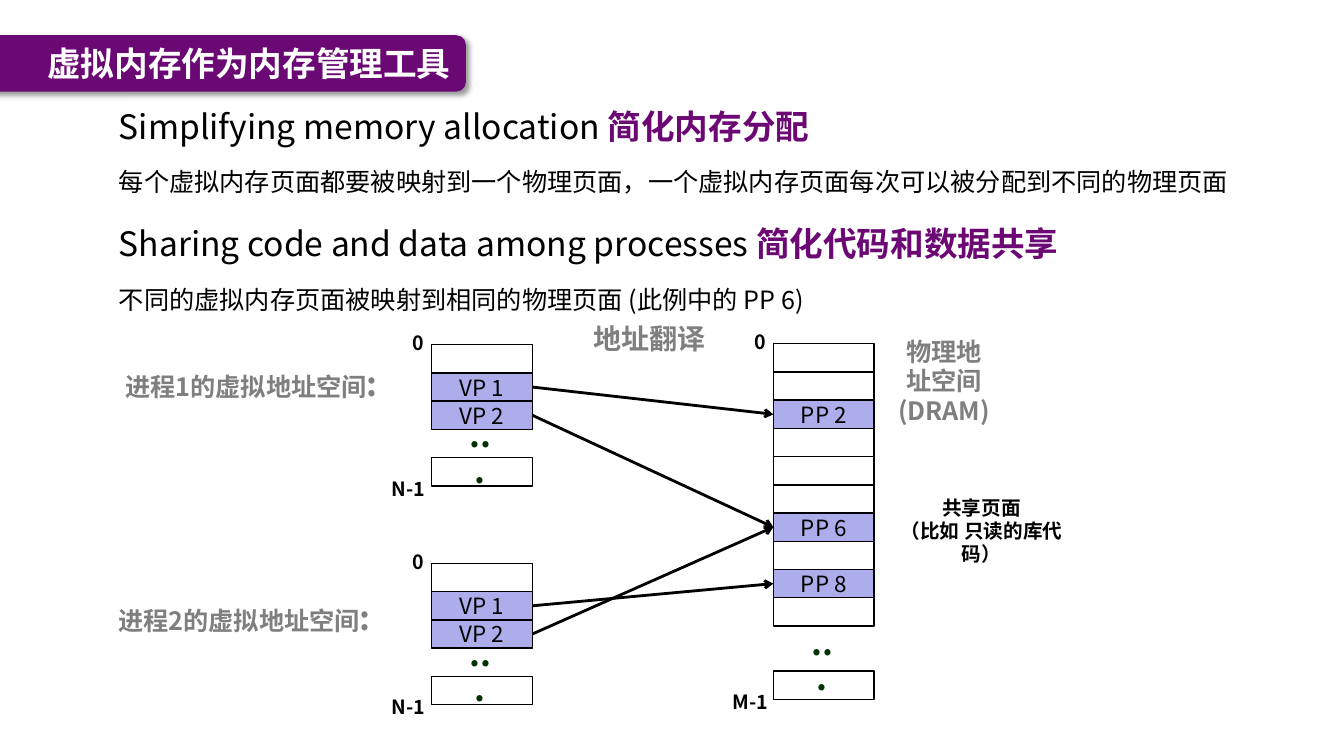
from dataclasses import dataclass
from lxml import etree
from pptx import Presentation, util as u
from pptx.dml.color import RGBColor
from pptx.enum import shapes as sh, text as tx
from pptx.oxml import parse_xml
from pptx.oxml.ns import nsdecls, qn


@dataclass(frozen=True)
class Theme:
    font: str = "Noto Sans CJK SC"
    bar: str = "6A0874"
    key: str = "6B0874"
    page: str = "ADADEB"
    ink: str = "000000"
    gray: str = "7F7F7F"
    dots: str = "003300"
    white: str = "FFFFFF"
    head: int = 24
    name: int = 20
    body: int = 18
    cell: int = 16
    mark: int = 14


T = Theme()
MID = tx.PP_ALIGN.CENTER
LEFT = tx.PP_ALIGN.LEFT
FULL = tx.PP_ALIGN.JUSTIFY
ROW, WIDE = 0.28, 1.0


def color(hue):
    return RGBColor.from_string(hue)


def write(para, words, size, hue, bold=False):
    run = para.add_run()
    run.text = words
    font = run.font
    font.name, font.size, font.bold = T.font, u.Pt(size), bold
    font.color.rgb = color(hue)
    east = etree.SubElement(run._r.get_or_add_rPr(), qn("a:ea"))
    east.set("typeface", T.font)


def frame(slide, box, wrap=True, grow=True):
    area = slide.shapes.add_textbox(*map(u.Inches, box)).text_frame
    area.word_wrap = wrap
    if grow:
        area.auto_size = tx.MSO_AUTO_SIZE.SHAPE_TO_FIT_TEXT
    return area


def label(slide, box, lines, size, hue, wrap=True, gap=0.98):
    """Place a bold centred label, one paragraph per line."""
    area = frame(slide, box, wrap)
    for i, line in enumerate(lines):
        para = area.add_paragraph() if i else area.paragraphs[0]
        para.alignment, para.line_spacing = MID, gap
        write(para, line, size, hue, True)
    return area


def title(slide, x, y, w, h):
    # Bar with a soft shadow
    bar = slide.shapes.add_shape(sh.MSO_SHAPE.ROUNDED_RECTANGLE,
                                 *map(u.Inches, (x, y, w, h)))
    bar.fill.solid()
    bar.fill.fore_color.rgb = color(T.bar)
    bar.line.fill.background()
    bar._element.spPr.append(parse_xml(
        f'<a:effectLst {nsdecls("a")}><a:outerShdw blurRad="50800" '
        'dist="38100" dir="2700000" algn="tl"><a:srgbClr val="000000">'
        '<a:alpha val="40000"/></a:srgbClr></a:outerShdw></a:effectLst>'))
    # Heading
    area = frame(slide, (x + 0.57, y, w - 0.57, h), grow=False)
    area.vertical_anchor = tx.MSO_ANCHOR.MIDDLE
    write(area.paragraphs[0], "虚拟内存作为内存管理工具", T.head, T.white, True)


def points(slide, x, y, w, h):
    area = frame(slide, (x, y, w, h), grow=False)
    items = [
        (FULL, "Simplifying memory allocation ", "简化内存分配"),
        (FULL, "每个虚拟内存页面都要被映射到一个物理页面，"
               "一个虚拟内存页面每次可以被分配到不同的物理页面", ""),
        (LEFT, "Sharing code and data among processes ", "简化代码和数据共享"),
        (LEFT, "不同的虚拟内存页面被映射到相同的物理页面 (此例中的 PP 6)", ""),
    ]
    for i, (side, words, key) in enumerate(items):
        para = area.add_paragraph() if i else area.paragraphs[0]
        size = T.head if key else T.body
        para.alignment, para.line_spacing = side, 1.5
        if i:
            para.space_before = u.Pt(size * 0.2)
        write(para, words, size, T.ink)
        if key:
            write(para, key, size, T.key, True)


def cell(slide, x, y, words):
    box = slide.shapes.add_shape(sh.MSO_SHAPE.RECTANGLE,
                                 *map(u.Inches, (x, y, WIDE, ROW)))
    box.shadow.inherit = False
    box.line.color.rgb, box.line.width = color(T.ink), u.Pt(1)
    if not words:
        box.fill.background()
        return box
    box.fill.solid()
    box.fill.fore_color.rgb = color(T.page)
    area = box.text_frame
    area.vertical_anchor = tx.MSO_ANCHOR.MIDDLE
    area.paragraphs[0].alignment = MID
    write(area.paragraphs[0], words, T.cell, T.ink)
    return box


def stack(slide, x, y, pages, last, end, dots):
    """Draw an address space and return its named pages."""
    cells = {}
    for i, words in enumerate(pages):
        box = cell(slide, x, y + i * ROW, words)
        if words:
            cells[words] = box
    base = y + last * ROW
    cell(slide, x, base, "")
    # Dots and address marks
    label(slide, (x + 0.24, y + dots, 0.49, 0.45), ["..."], T.head, T.dots,
          gap=0.88)
    label(slide, (x - 0.29, y - 0.17, 0.32, 0.33), ["0"], T.mark, T.ink, False)
    label(slide, (x - 0.52, base + 0.15, 0.58, 0.33), [end], T.mark, T.ink,
          False)
    return cells


def arrow(slide, start, goal):
    line = slide.shapes.add_connector(sh.MSO_CONNECTOR.STRAIGHT, 0, 0, 0, 0)
    line.begin_connect(start, 3)
    line.end_connect(goal, 1)
    line.line.color.rgb, line.line.width = color(T.ink), u.Pt(2)
    tip = etree.SubElement(line.line._get_or_add_ln(), qn("a:tailEnd"))
    tip.set("type", "arrow")
    etree.SubElement(line._element.spPr, qn("a:effectLst"))


def process(slide, x, y, num, side):
    area = label(slide, (*side, 2.75, 0.49), [f"进程{num}的虚拟地址空间"],
                 T.body, T.gray)
    write(area.paragraphs[0], ":", T.head, T.gray, True)
    return stack(slide, x, y, ["", "VP 1", "VP 2"], 4, "N-1", 0.69)


def diagram(slide, x, y):
    # Address spaces
    one = process(slide, x, y, 1, (x - 3.16, y + 0.15))
    two = process(slide, x, y + 2.17, 2, (x - 3.23, y + 2.47))
    right = x + 3.39
    pages = ["", "", "PP 2", "", "", "", "PP 6", "", "PP 8", ""]
    ram = stack(slide, right, y - 0.01, pages, 11.6, "M-1", 2.76)
    # Mapping
    for start, goal in ((one["VP 1"], "PP 2"), (one["VP 2"], "PP 6"),
                        (two["VP 2"], "PP 6"), (two["VP 1"], "PP 8")):
        arrow(slide, start, ram[goal])
    # Captions
    label(slide, (x + 1.5, y - 0.28, 1.32, 0.43), ["地址翻译"], T.name, T.gray,
          False, 1.0)
    label(slide, (right + 1.11, y - 0.12, 1.17, 0.98), ["物理地址空间 (DRAM)"],
          T.body, T.gray)
    label(slide, (right + 0.97, y + 1.46, 2.19, 0.56),
          ["共享页面", "（比如 只读的库代码）"], T.mark, T.ink)


def main():
    deck = Presentation()
    deck.slide_width, deck.slide_height = u.Inches(13.33), u.Inches(7.5)
    slide = deck.slides.add_slide(deck.slide_layouts[6])
    title(slide, -0.2, 0.35, 4.82, 0.56)
    diagram(slide, 4.28, 3.42)
    points(slide, 1.08, 0.8, 11.69, 2.08)
    deck.save("out.pptx")


if __name__ == "__main__":
    main()
